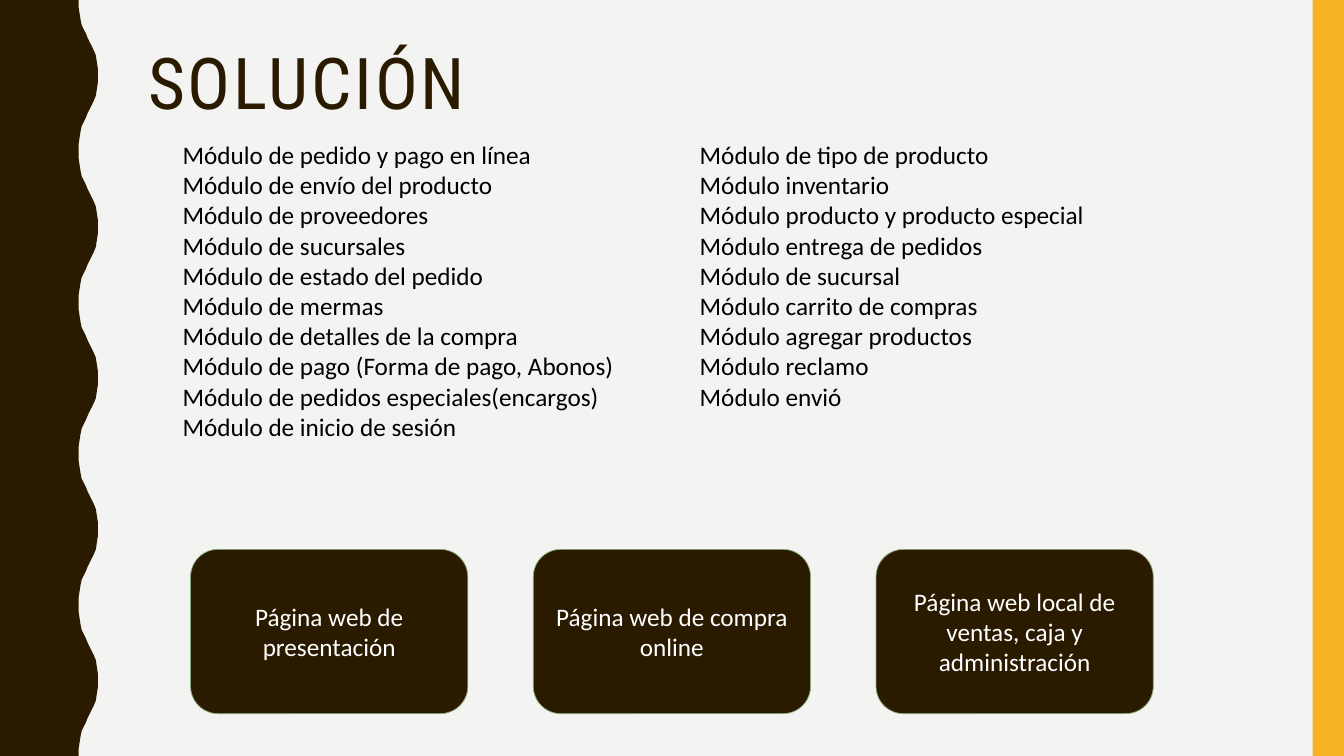
from lxml.etree import SubElement
from pptx import Presentation
from pptx.dml.color import RGBColor
from pptx.enum.shapes import MSO_SHAPE as Preset
from pptx.enum.text import MSO_ANCHOR as Anchor, MSO_AUTO_SIZE as AutoSize, PP_ALIGN as Align
from pptx.oxml.ns import qn
from pptx.util import Inches, Pt

BROWN = RGBColor(0x2A, 0x1A, 0x00)
AMBER = RGBColor(0xF8, 0xB3, 0x23)
GREEN = RGBColor(0x8C, 0xAA, 0x7E)
PAPER = RGBColor(0xF3, 0xF3, 0xF2)
WHITE = RGBColor(0xFF, 0xFF, 0xFF)
BLACK = RGBColor(0x00, 0x00, 0x00)

WIDTH, HEIGHT = Inches(13.33), Inches(7.5)
COLUMNS = ROWS = 100
WAVE_PERIOD = 20
HALF_WAVE = [
    (5.85, 0), (5.85, 0.93), (5.93, 1.87), (6, 2.67), (6.08, 3.33),
    (6.23, 3.87), (6.38, 4.4), (6.53, 5.07), (6.68, 5.6), (6.83, 6.13),
    (6.98, 6.67), (7.13, 7.33), (7.2, 8.13), (7.28, 9.07), (7.28, 10),
]

TITLE_FONT = {"name": "Roboto Condensed", "size": Pt(51)}
BODY_FONT = {"name": "Calibri", "size": Pt(18)}
TITLE_PARAGRAPH = {"alignment": Align.LEFT, "line_spacing": 0.9}
LIST_PARAGRAPH = {"alignment": Align.LEFT, "line_spacing": 1.0,
                  "space_before": Pt(0), "space_after": Pt(0)}
BOX_PARAGRAPH = {"alignment": Align.CENTER}

ORDER_MODULES = [
    "Módulo de pedido y pago en línea",
    "Módulo de envío del producto",
    "Módulo de proveedores",
    "Módulo de sucursales",
    "Módulo de estado del pedido",
    "Módulo de mermas",
    "Módulo de detalles de la compra",
    "Módulo de pago (Forma de pago, Abonos)",
    "Módulo de pedidos especiales(encargos)",
    "Módulo de inicio de sesión",
]
PRODUCT_MODULES = [
    "Módulo de tipo de producto",
    "Módulo inventario",
    "Módulo producto y producto especial",
    "Módulo entrega de pedidos",
    "Módulo de sucursal",
    "Módulo carrito de compras",
    "Módulo agregar productos",
    "Módulo reclamo",
    "Módulo envió",
]
WEB_PAGES = [
    "Página web de presentación",
    "Página web de compra online",
    "Página web local de ventas, caja y administración",
]


def across(columns):
    return round(WIDTH * columns / COLUMNS)


def down(rows):
    return round(HEIGHT * rows / ROWS)


def area(left, top, width, height):
    return across(left), down(top), across(width), down(height)


def set_all(target, values):
    for name, value in values.items():
        setattr(target, name, value)


def write(shape, lines, font, color, paragraph_format, anchor):
    frame = shape.text_frame
    set_all(frame, {"text": "\n".join(lines), "word_wrap": True,
                    "auto_size": AutoSize.NONE, "vertical_anchor": anchor})
    for paragraph in frame.paragraphs:
        set_all(paragraph, paragraph_format)
        for run in paragraph.runs:
            set_all(run.font, font)
            run.font.color.rgb = color


def place(shape, bounds):
    set_all(shape, dict(zip(("left", "top", "width", "height"), bounds)))


def paint(shape, fill, line=None):
    shape.shadow.inherit = False
    shape.fill.solid()
    shape.fill.fore_color.rgb = fill
    if line is None:
        shape.line.fill.background()
    else:
        shape.line.color.rgb = line
        shape.line.width = Pt(0.5)


def send_to_back(slide, shape):
    slide.shapes.element.insert(2, shape.element)


def add_side_bar(slide):
    bar = slide.shapes.add_shape(Preset.RECTANGLE, *area(97.67, 0, 2.33, ROWS))
    paint(bar, AMBER)
    send_to_back(slide, bar)


def add_wave(slide):
    mirrored = [(x, WAVE_PERIOD - y) for x, y in reversed(HALF_WAVE[:-1])]
    edge = [(across(x), down(start + y))
            for start in range(0, ROWS, WAVE_PERIOD)
            for x, y in HALF_WAVE + mirrored]
    builder = slide.shapes.build_freeform(0, 0)
    builder.add_line_segments(edge + [(0, HEIGHT)], close=True)
    wave = builder.convert_to_shape()
    paint(wave, BROWN)
    send_to_back(slide, wave)


def fill_title(title, text):
    place(title, area(10.28, 5.6, 83.5, 21.73))
    write(title, [text], TITLE_FONT, BROWN, TITLE_PARAGRAPH, Anchor.TOP)
    for run in title.text_frame.paragraphs[0].runs:
        run.font._element.set("spc", "200")


def fill_list(placeholder, lines, bounds):
    place(placeholder, bounds)
    write(placeholder, lines, BODY_FONT, BLACK, LIST_PARAGRAPH, Anchor.TOP)
    for paragraph in placeholder.text_frame.paragraphs:
        properties = paragraph._p.get_or_add_pPr()
        properties.set("marL", "0")
        properties.set("indent", "0")
        SubElement(properties, qn("a:buNone"))


def add_page_box(slide, position, text):
    bounds = area(14.18 + 25.5 * position, 72.67, 20.63, 21.73)
    box = slide.shapes.add_shape(Preset.ROUNDED_RECTANGLE, *bounds)
    paint(box, BROWN, GREEN)
    write(box, [text], BODY_FONT, WHITE, BOX_PARAGRAPH, Anchor.MIDDLE)


def main():
    presentation = Presentation()
    set_all(presentation, {"slide_width": WIDTH, "slide_height": HEIGHT})
    slide = presentation.slides.add_slide(presentation.slide_layouts[3])
    slide.background.fill.solid()
    slide.background.fill.fore_color.rgb = PAPER

    add_side_bar(slide)
    add_wave(slide)
    title, left_list, right_list = slide.placeholders
    fill_title(title, "SOLUCIÓN")
    fill_list(left_list, ORDER_MODULES, area(12.83, 17.73, 39.16, 45.73))
    fill_list(right_list, PRODUCT_MODULES, area(51.31, 17.73, 33.01, 41.73))
    for position, text in enumerate(WEB_PAGES):
        add_page_box(slide, position, text)

    presentation.save("out.pptx")


if __name__ == "__main__":
    main()
